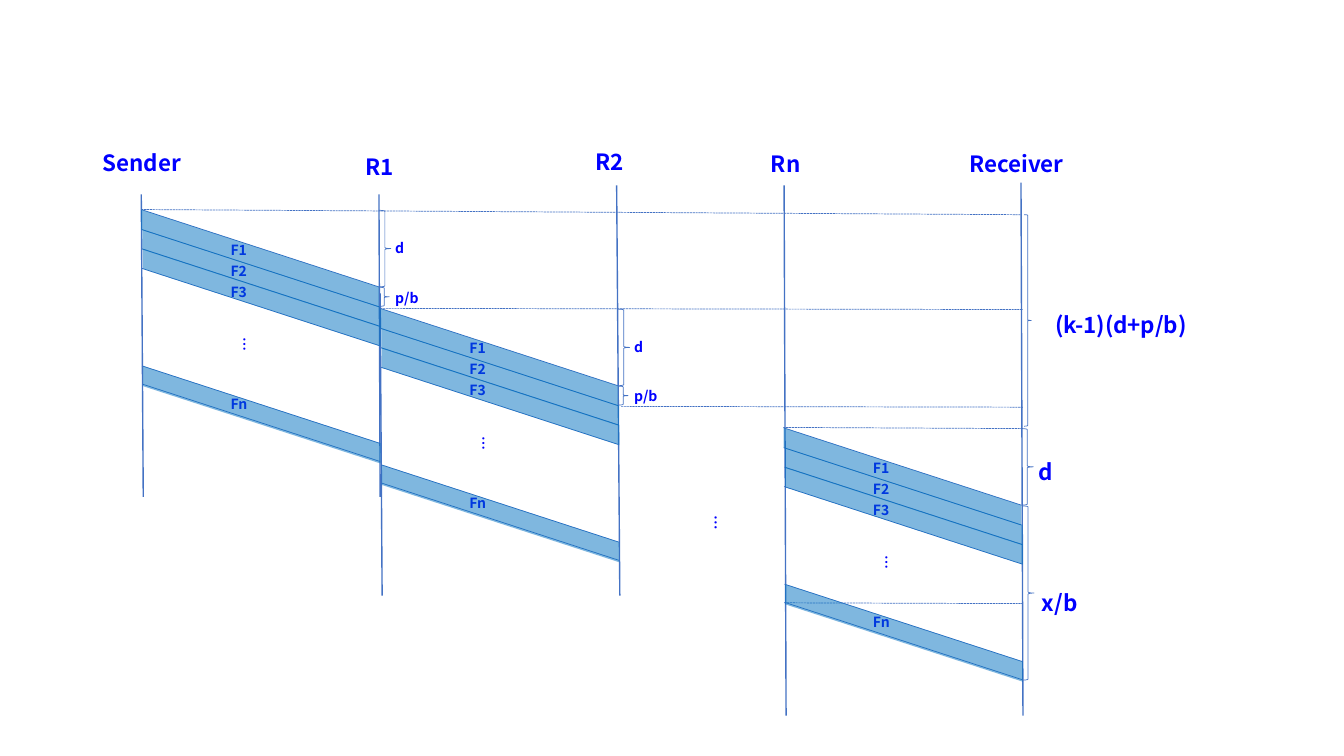
from dataclasses import dataclass

from lxml.etree import SubElement
from pptx import Presentation
from pptx.dml.color import RGBColor
from pptx.enum.dml import MSO_LINE
from pptx.enum.shapes import MSO_CONNECTOR, MSO_SHAPE
from pptx.enum.text import MSO_AUTO_SIZE, PP_ALIGN
from pptx.oxml.ns import qn
from pptx.shapes.shapetree import SlideShapes
from pptx.util import Cm, Pt

FONT = "Noto Sans CJK SC"
TEXT_COLOR = "0000FF"
LINE_COLOR = "4472C4"
BAND_COLOR = "0070C0"
HOP_WIDTH, HOP_DROP = 5.99, 1.95
FRAME_HEIGHT = 0.51


@dataclass(frozen=True)
class Segment:
    x1: float
    y1: float
    x2: float
    y2: float


@dataclass(frozen=True)
class Label:
    text: str
    left: float
    top: float
    width: float
    size: float = 10
    centered: bool = False
    vertical: bool = False


@dataclass(frozen=True)
class Brace:
    left: float
    top: float
    width: float
    height: float


@dataclass(frozen=True)
class Hop:
    left: float
    top: float
    small_notes: bool = True


TIMELINES = [
    Segment(3.56, 4.9, 3.61, 12.52),
    Segment(9.55, 4.9, 9.58, 12.52),
    Segment(9.58, 7.39, 9.63, 15.01),
    Segment(15.54, 4.67, 15.62, 15.01),
    Segment(19.76, 4.67, 19.81, 18.03),
    Segment(25.73, 4.6, 25.78, 18.03),
]
GUIDES = [
    Segment(3.56, 5.28, 25.73, 5.41),
    Segment(9.58, 7.77, 25.78, 7.8),
    Segment(15.65, 10.24, 25.78, 10.26),
    Segment(19.74, 10.77, 25.76, 10.8),
    Segment(19.76, 15.19, 25.76, 15.21),
]
HOPS = [Hop(3.56, 5.28), Hop(9.58, 7.77), Hop(19.75, 10.78, small_notes=False)]

FRAME_EDGES = [(0, 0), (0, 0.5), (0.02, 0.99), (0.01, 1.48), (0.02, 3.94), (0.03, 4.4)]
FRAME_BANDS = [(0, 0), (0.03, 0.5), (0.04, 0.99), (0.04, 3.94)]
FRAME_LABELS = [Label(f"F{i + 1}", 2, 0.67 + 0.53 * i, 0.95) for i in range(3)] + [
    Label("…", 2, 2.98, 0.95, vertical=True),
    Label("Fn", 2, 4.56, 1.09),
]
DELAY_BRACE = Brace(5.99, 0.02, 0.3, 1.93)
SEND_BRACE = Brace(6, 1.96, 0.25, 0.48)
SMALL_NOTES = [Label("d", 6.15, 0.63, 0.91), Label("p/b", 6.15, 1.88, 1.45)]

TOTAL_BRACES = [Brace(25.76, 12.75, 0.3, 4.39), Brace(25.81, 5.41, 0.18, 5.33)]
LARGE_LABELS = [
    Label("Sender", 2.34, 3.63, 2.57, 16),
    Label("R1", 8.28, 3.73, 2.57, 16, centered=True),
    Label("R2", 14.76, 3.61, 2.57, 16),
    Label("Rn", 19.18, 3.66, 2.57, 16),
    Label("Receiver", 24.18, 3.66, 3.12, 16),
    Label("…", 17.42, 12.73, 0.97, 10.5, vertical=True),
    Label("d", 25.91, 11.43, 0.91, 16),
    Label("x/b", 26.01, 14.73, 1.45, 16),
    Label("(k-1)(d+p/b)", 26.34, 7.72, 3.99, 16),
]


def color(value: str) -> RGBColor:
    return RGBColor.from_string(value)


def draw_line(
    shapes: SlideShapes, segment: Segment, weight: float = 0.5, dashed: bool = False
) -> None:
    line = shapes.add_connector(
        MSO_CONNECTOR.STRAIGHT,
        Cm(segment.x1), Cm(segment.y1), Cm(segment.x2), Cm(segment.y2),
    )
    line.line.color.rgb = color(LINE_COLOR)
    line.line.width = Pt(weight)
    if dashed:
        line.line.dash_style = MSO_LINE.SQUARE_DOT
    SubElement(line.element.spPr, qn("a:effectLst"))


def draw_label(shapes: SlideShapes, label: Label, x: float = 0, y: float = 0) -> None:
    height = 0.94 if label.size == 16 else 0.7
    box = shapes.add_textbox(
        Cm(x + label.left), Cm(y + label.top), Cm(label.width), Cm(height)
    )
    frame = box.text_frame
    frame.word_wrap = True
    frame.auto_size = MSO_AUTO_SIZE.SHAPE_TO_FIT_TEXT
    if label.vertical:
        box.element.txBody.find(qn("a:bodyPr")).set("vert", "eaVert")
    para = frame.paragraphs[0]
    para.text = label.text
    if label.centered:
        para.alignment = PP_ALIGN.CENTER
    para.font.name = FONT
    para.font.size = Pt(label.size)
    para.font.bold = True
    para.font.color.rgb = color(TEXT_COLOR)
    for properties in box.element.iter(qn("a:defRPr")):
        SubElement(properties, qn("a:ea"), typeface=FONT)


def draw_brace(shapes: SlideShapes, brace: Brace, x: float = 0, y: float = 0) -> None:
    shape = shapes.add_shape(
        MSO_SHAPE.RIGHT_BRACE,
        Cm(x + brace.left), Cm(y + brace.top), Cm(brace.width), Cm(brace.height),
    )
    shape.shadow.inherit = False
    shape.fill.background()
    shape.line.color.rgb = color(LINE_COLOR)
    shape.line.width = Pt(0.5)


def draw_band(shapes: SlideShapes, x: float, y: float) -> None:
    right, bottom = x + HOP_WIDTH, y + HOP_DROP
    builder = shapes.build_freeform(Cm(x), Cm(y))
    corners = [(right, bottom), (right, bottom + FRAME_HEIGHT), (x, y + FRAME_HEIGHT)]
    builder.add_line_segments([(Cm(a), Cm(b)) for a, b in corners])
    band = builder.convert_to_shape()
    band.shadow.inherit = False
    band.fill.solid()
    band.fill.fore_color.rgb = color(BAND_COLOR)
    for fill in band.element.spPr.iter(qn("a:srgbClr")):
        SubElement(fill, qn("a:alpha"), val="50000")
    band.line.fill.background()


def draw_hop(shapes: SlideShapes, hop: Hop) -> None:
    for dx, dy in FRAME_EDGES:
        x, y = hop.left + dx, hop.top + dy
        draw_line(shapes, Segment(x, y, x + HOP_WIDTH, y + HOP_DROP))
    draw_brace(shapes, DELAY_BRACE, hop.left, hop.top)
    if hop.small_notes:
        draw_brace(shapes, SEND_BRACE, hop.left, hop.top)
    for label in FRAME_LABELS + (SMALL_NOTES if hop.small_notes else []):
        draw_label(shapes, label, hop.left, hop.top)
    for dx, dy in FRAME_BANDS:
        draw_band(shapes, hop.left + dx, hop.top + dy)


def main() -> None:
    deck = Presentation()
    deck.slide_width, deck.slide_height = Cm(33.87), Cm(19.05)
    page = deck.slides.add_slide(deck.slide_layouts[6])
    for timeline in TIMELINES:
        draw_line(page.shapes, timeline, weight=1)
    for guide in GUIDES:
        draw_line(page.shapes, guide, dashed=True)
    for hop in HOPS:
        draw_hop(page.shapes, hop)
    for brace in TOTAL_BRACES:
        draw_brace(page.shapes, brace)
    for label in LARGE_LABELS:
        draw_label(page.shapes, label)
    deck.save("out.pptx")


if __name__ == "__main__":
    main()
